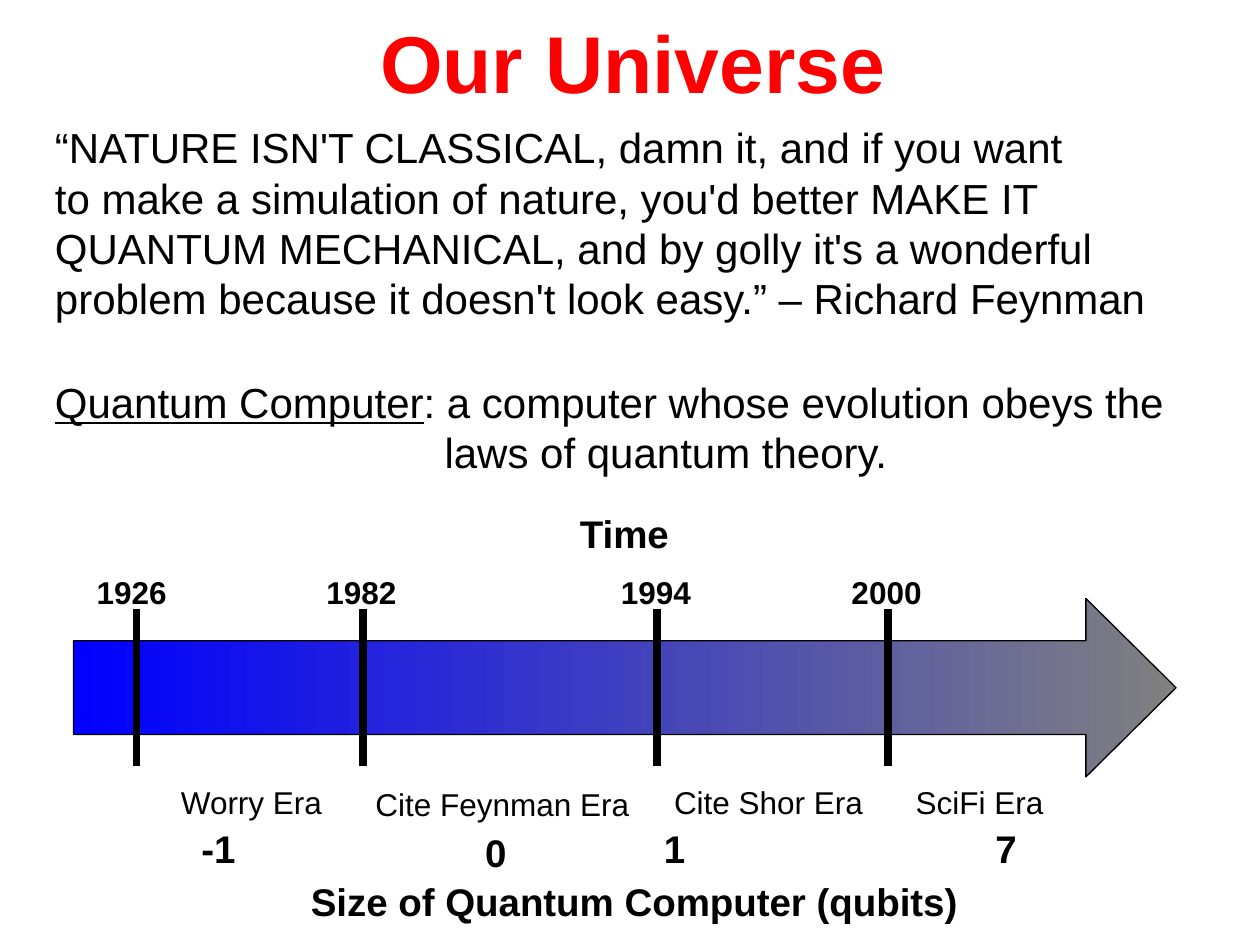
import pptx
import pptx.dml.color
import pptx.enum.shapes
import pptx.enum.text
import pptx.oxml
import pptx.oxml.ns
import pptx.util

Pt = pptx.util.Pt
ALIGN = pptx.enum.text.PP_ALIGN
ANCHOR = pptx.enum.text.MSO_ANCHOR
COLORS = {"title": "FF0000", "text": "000000", "past": "0000FF", "future": "808080"}


def rgb(name):
    return pptx.dml.color.RGBColor.from_string(COLORS[name])


class SlideBuilder:
    font = "Arial"
    line_ratio = 1.2

    def __init__(self, slide):
        self.slide = slide

    def place(self, shape, left, top, width, height):
        shape.left, shape.top = Pt(left), Pt(top)
        shape.width, shape.height = Pt(width), Pt(height)

    def format_text(self, shape, size, bold=False, color="text",
                    align=ALIGN.LEFT, anchor=ANCHOR.TOP):
        frame = shape.text_frame
        frame.word_wrap = False
        frame.auto_size = pptx.enum.text.MSO_AUTO_SIZE.NONE
        frame.vertical_anchor = anchor
        for paragraph in frame.paragraphs:
            paragraph.alignment = align
            paragraph.line_spacing = Pt(size * self.line_ratio)
            paragraph.space_before = Pt(0)
            for run in paragraph.runs:
                run.font.name = self.font
                run.font.size = Pt(size)
                run.font.bold = bold
                run.font.color.rgb = rgb(color)

    def title(self, text, box):
        shape = self.slide.shapes.title
        self.place(shape, *box)
        shape.text_frame.text = text
        self.format_text(shape, 46, True, "title", ALIGN.CENTER)

    def body(self, lines, box):
        shape = self.slide.placeholders[1]
        self.place(shape, *box)
        shape.text_frame.text = "\n".join(lines)
        self.format_text(shape, 24, anchor=ANCHOR.MIDDLE)
        for paragraph in shape.text_frame.paragraphs:
            properties = paragraph._p.get_or_add_pPr()
            properties.set("marL", "0")
            properties.set("indent", "0")
            properties.append(pptx.oxml.parse_xml(
                f"<a:buNone {pptx.oxml.ns.nsdecls('a')}/>"))

    def text_box(self, box):
        return self.slide.shapes.add_textbox(*(Pt(value) for value in box))

    def label(self, text, box, size, bold=True):
        shape = self.text_box(box)
        shape.text_frame.text = text
        self.format_text(shape, size, bold, align=ALIGN.CENTER)

    def definition(self, term, meaning, continuation, indent, box):
        shape = self.text_box(box)
        first = shape.text_frame.paragraphs[0]
        first.text = term
        first.add_run().text = meaning
        second = shape.text_frame.add_paragraph()
        second.text = continuation
        second._p.get_or_add_pPr().set("marL", str(Pt(indent)))
        self.format_text(shape, 24)
        first.runs[0].font.underline = True

    def gradient_arrow(self, box):
        shape = self.slide.shapes.add_shape(
            pptx.enum.shapes.MSO_SHAPE.RIGHT_ARROW, *(Pt(value) for value in box))
        shape.shadow.inherit = False
        shape.adjustments[0], shape.adjustments[1] = 0.525, 0.505
        shape.fill.gradient()
        shape.fill.gradient_angle = 180
        for stop, name, position in zip(shape.fill.gradient_stops, ("future", "past"), (0, 1)):
            stop.color.rgb = rgb(name)
            stop.position = position
        shape.line.color.rgb = rgb("text")
        shape.line.width = Pt(0.75)

    def tick(self, x, top, bottom):
        line = self.slide.shapes.add_connector(
            pptx.enum.shapes.MSO_CONNECTOR.STRAIGHT, Pt(x), Pt(top), Pt(x), Pt(bottom))
        line.line.color.rgb = rgb("text")
        line.line.width = Pt(4.5)
        line._element.spPr.append(pptx.oxml.parse_xml(
            f"<a:effectLst {pptx.oxml.ns.nsdecls('a')}/>"))


def main():
    presentation = pptx.Presentation()
    presentation.slide_width, presentation.slide_height = Pt(720), Pt(540)
    builder = SlideBuilder(presentation.slides.add_slide(presentation.slide_layouts[1]))

    builder.title("Our Universe", (206.5, 3.6, 310, 62.6))
    builder.body([
        "“NATURE ISN'T CLASSICAL, damn it, and if you want",
        "to make a simulation of nature, you'd better MAKE IT",
        "QUANTUM MECHANICAL, and by golly it's a wonderful",
        "problem because it doesn't look easy.” – Richard Feynman",
    ], (24.2, 65.9, 644, 122.4))
    builder.definition("Quantum Computer", ": a computer whose evolution obeys the",
                       "laws of quantum theory.", 222.7, (24.3, 211.4, 648, 64.8))

    builder.gradient_arrow((42, 342, 630, 102))
    builder.label("Time", (324, 288, 65.5, 33.8), 22)
    for year, tick_x, label_left in (("1926", 78, 48.2), ("1982", 207.4, 179.5),
                                     ("1994", 375.6, 347.8), ("2000", 507.6, 479.6)):
        builder.tick(tick_x, 348, 438)
        builder.label(year, (label_left, 324, 54, 28.8), 18)

    eras = (
        ("Worry Era", 96.2, 444, 95, "-1", 108, 468, 33.8),
        ("Cite Feynman Era", 207.5, 445.2, 159.1, "0", 270, 470.4, 26.6),
        ("Cite Shor Era", 378, 444, 122.4, "1", 372.2, 468, 26.6),
        ("SciFi Era", 516.2, 444, 87.1, "7", 561.6, 468, 26.6),
    )
    for era, left, top, width, qubits, qubits_left, qubits_top, qubits_width in eras:
        builder.label(era, (left, top, width, 28.8), 18, False)
        builder.label(qubits, (qubits_left, qubits_top, qubits_width, 33.8), 22)
    builder.label("Size of Quantum Computer (qubits)", (170.6, 498.2, 383.8, 33.8), 22)

    presentation.save("out.pptx")


if __name__ == "__main__":
    main()
